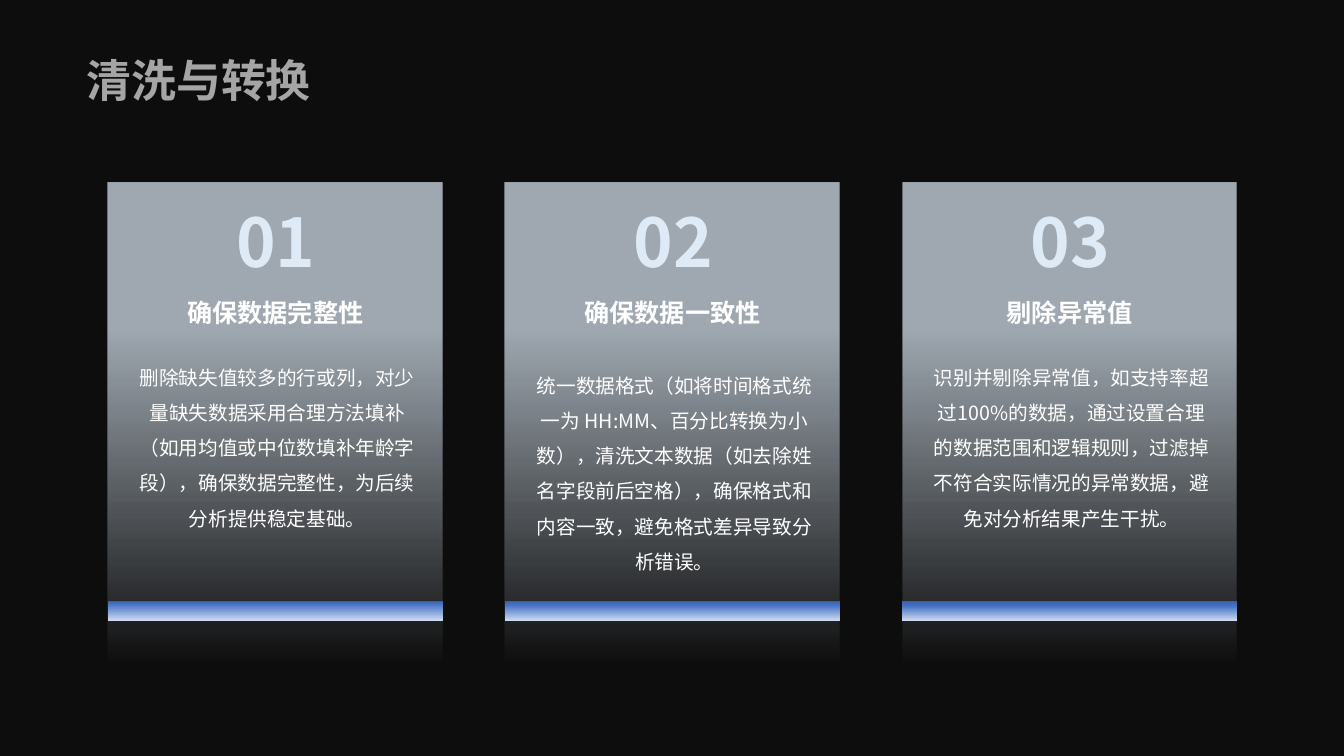
from dataclasses import dataclass

from lxml import etree
from pptx import Presentation
from pptx import util as u
from pptx.dml.color import RGBColor
from pptx.dml.fill import FillFormat
from pptx.enum import shapes, text
from pptx.oxml.ns import qn
from pptx.slide import Slide

FONT = "Noto Sans CJK SC"
BACKGROUND = RGBColor(0x0D, 0x0D, 0x0D)
WHITE = RGBColor(0xFF, 0xFF, 0xFF)
ICE = RGBColor(0xDE, 0xEB, 0xF7)
PALE_BLUE = RGBColor(0xD0, 0xDC, 0xF0)
BLUE = RGBColor(0x44, 0x72, 0xC4)
DEEP_BLUE = RGBColor(0x36, 0x60, 0xAB)
LIGHT_GREY = RGBColor(0xE8, 0xE8, 0xE8)
MID_GREY = RGBColor(0xA5, 0xA5, 0xA5)
DARK_GREY = RGBColor(0x8C, 0x8C, 0x8C)

SLIDE_WIDTH = u.Inches(13.33)
SLIDE_HEIGHT = u.Inches(7.5)
FIRST_COLUMN = 8.03
COLUMN_STEP = 29.55
DOWNWARD = 270
UPWARD = 90


@dataclass(frozen=True)
class Area:
    """Percentages of the slide's width and height."""
    left: float
    top: float
    width: float
    height: float

    def shifted(self, across: float, down: float = 0) -> "Area":
        return Area(self.left + across, self.top + down, self.width, self.height)

    def lengths(self) -> tuple[int, int, int, int]:
        return (
            round(SLIDE_WIDTH * self.left / 100),
            round(SLIDE_HEIGHT * self.top / 100),
            round(SLIDE_WIDTH * self.width / 100),
            round(SLIDE_HEIGHT * self.height / 100),
        )


@dataclass(frozen=True)
class Stop:
    position: int
    color: RGBColor
    opacity: int = 100


@dataclass(frozen=True)
class TextStyle:
    size: int
    spacing: float
    bold: bool = True
    color: RGBColor = WHITE
    align: text.PP_ALIGN = text.PP_ALIGN.CENTER
    anchor: text.MSO_ANCHOR = text.MSO_ANCHOR.TOP
    grows: bool = False


@dataclass(frozen=True)
class Card:
    heading: str
    body: str
    bar_middle: int
    body_drop: float = 0


TITLE = Area(6.45, 6.8, 87.53, 6.8)
PANEL = Area(0, 24.13, 24.9, 63.47)
NUMBER = Area(7.28, 22.67, 10.43, 15.33)
BAR = Area(0, 79.47, 24.9, 2.67)
HEADING = Area(1.13, 36, 22.65, 9.47)
BODY = Area(1.2, 46.13, 22.8, 17.33)

TITLE_STYLE = TextStyle(32, 1.1, align=text.PP_ALIGN.LEFT, anchor=text.MSO_ANCHOR.MIDDLE)
NUMBER_STYLE = TextStyle(48, 1.3, color=ICE, grows=True)
HEADING_STYLE = TextStyle(18, 1.3, anchor=text.MSO_ANCHOR.MIDDLE)
BODY_STYLE = TextStyle(14, 1.5, bold=False)

PANEL_STOPS = [Stop(30, ICE, 70), Stop(100, ICE, 0)]
TITLE_STOPS = [Stop(0, LIGHT_GREY), Stop(50, MID_GREY), Stop(100, DARK_GREY)]

CARDS = [
    Card(
        "确保数据完整性",
        "删除缺失值较多的行或列，对少量缺失数据采用合理方法填补（如用均值或中位数填补年龄字段），"
        "确保数据完整性，为后续分析提供稳定基础。",
        84,
    ),
    Card(
        "确保数据一致性",
        "统一数据格式（如将时间格式统一为 HH:MM、百分比转换为小数），清洗文本数据（如去除姓名字段前后空格），"
        "确保格式和内容一致，避免格式差异导致分析错误。",
        79,
        1.07,
    ),
    Card(
        "剔除异常值",
        "识别并剔除异常值，如支持率超过100%的数据，通过设置合理的数据范围和逻辑规则，"
        "过滤掉不符合实际情况的异常数据，避免对分析结果产生干扰。",
        74,
    ),
]


def paint_gradient(
    fill: FillFormat, owner: etree._Element, stops: list[Stop], angle: int
) -> None:
    fill.gradient()
    fill.gradient_angle = angle
    stop_list = next(owner.iter(qn("a:gsLst")))
    for old_stop in list(stop_list):
        stop_list.remove(old_stop)
    for stop in stops:
        entry = etree.SubElement(stop_list, qn("a:gs"), pos=str(stop.position * 1000))
        color = etree.SubElement(entry, qn("a:srgbClr"), val=str(stop.color))
        if stop.opacity < 100:
            etree.SubElement(color, qn("a:alpha"), val=str(stop.opacity * 1000))


def add_panel(slide: Slide, area: Area, stops: list[Stop], angle: int) -> None:
    shape = slide.shapes.add_shape(shapes.MSO_SHAPE.RECTANGLE, *area.lengths())
    shape.shadow.inherit = False
    shape.line.fill.background()
    paint_gradient(shape.fill, shape._element.spPr, stops, angle)


def add_text(slide: Slide, area: Area, words: str, style: TextStyle):
    frame = slide.shapes.add_textbox(*area.lengths()).text_frame
    frame.word_wrap = True
    frame.vertical_anchor = style.anchor
    if style.grows:
        frame.auto_size = text.MSO_AUTO_SIZE.SHAPE_TO_FIT_TEXT
    paragraph = frame.paragraphs[0]
    paragraph.text = words
    paragraph.alignment = style.align
    paragraph.line_spacing = style.spacing
    font = paragraph.font
    font.size = u.Pt(style.size)
    font.bold = style.bold
    font.color.rgb = style.color
    font.name = FONT
    properties = paragraph._p.pPr.find(qn("a:defRPr"))
    etree.SubElement(properties, qn("a:ea"), typeface=FONT)
    return frame


def add_title(slide: Slide) -> None:
    frame = add_text(slide, TITLE, "清洗与转换", TITLE_STYLE)
    frame.margin_left = frame.margin_right = frame.margin_top = frame.margin_bottom = 0
    paragraph = frame.paragraphs[0]
    paint_gradient(paragraph.font.fill, paragraph._p, TITLE_STOPS, DOWNWARD)


def add_card(slide: Slide, index: int, card: Card) -> None:
    left = FIRST_COLUMN + index * COLUMN_STEP
    bar_stops = [Stop(0, PALE_BLUE), Stop(card.bar_middle, BLUE), Stop(100, DEEP_BLUE)]
    add_panel(slide, PANEL.shifted(left), PANEL_STOPS, DOWNWARD)
    add_text(slide, NUMBER.shifted(left), f"{index + 1:02}", NUMBER_STYLE)
    add_panel(slide, BAR.shifted(left), bar_stops, UPWARD)
    add_text(slide, HEADING.shifted(left), card.heading, HEADING_STYLE)
    add_text(slide, BODY.shifted(left, card.body_drop), card.body, BODY_STYLE)


def main() -> None:
    presentation = Presentation()
    presentation.slide_width = SLIDE_WIDTH
    presentation.slide_height = SLIDE_HEIGHT
    slide = presentation.slides.add_slide(presentation.slide_layouts[6])
    slide.background.fill.solid()
    slide.background.fill.fore_color.rgb = BACKGROUND
    add_title(slide)
    for index, card in enumerate(CARDS):
        add_card(slide, index, card)
    presentation.save("out.pptx")


if __name__ == "__main__":
    main()
